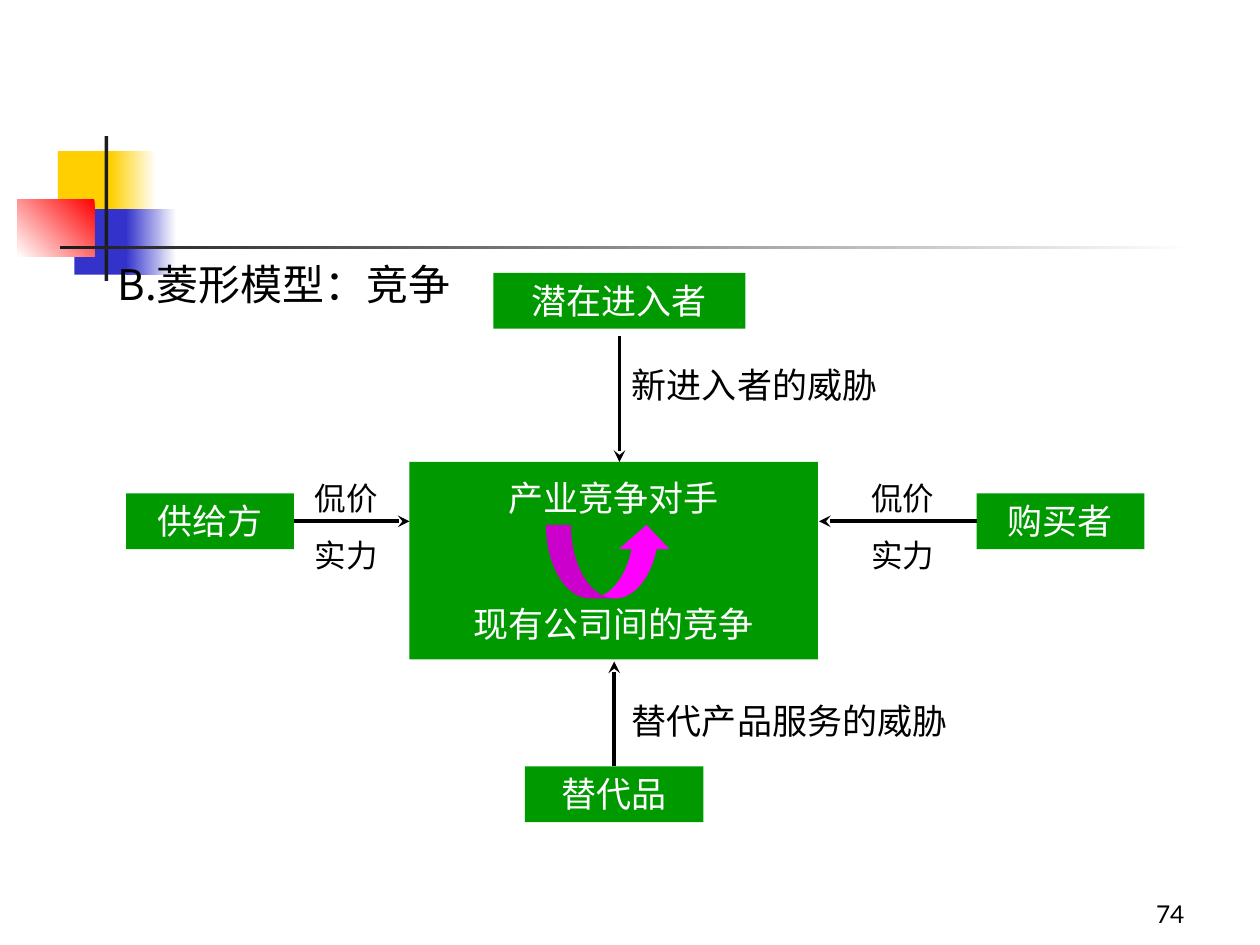
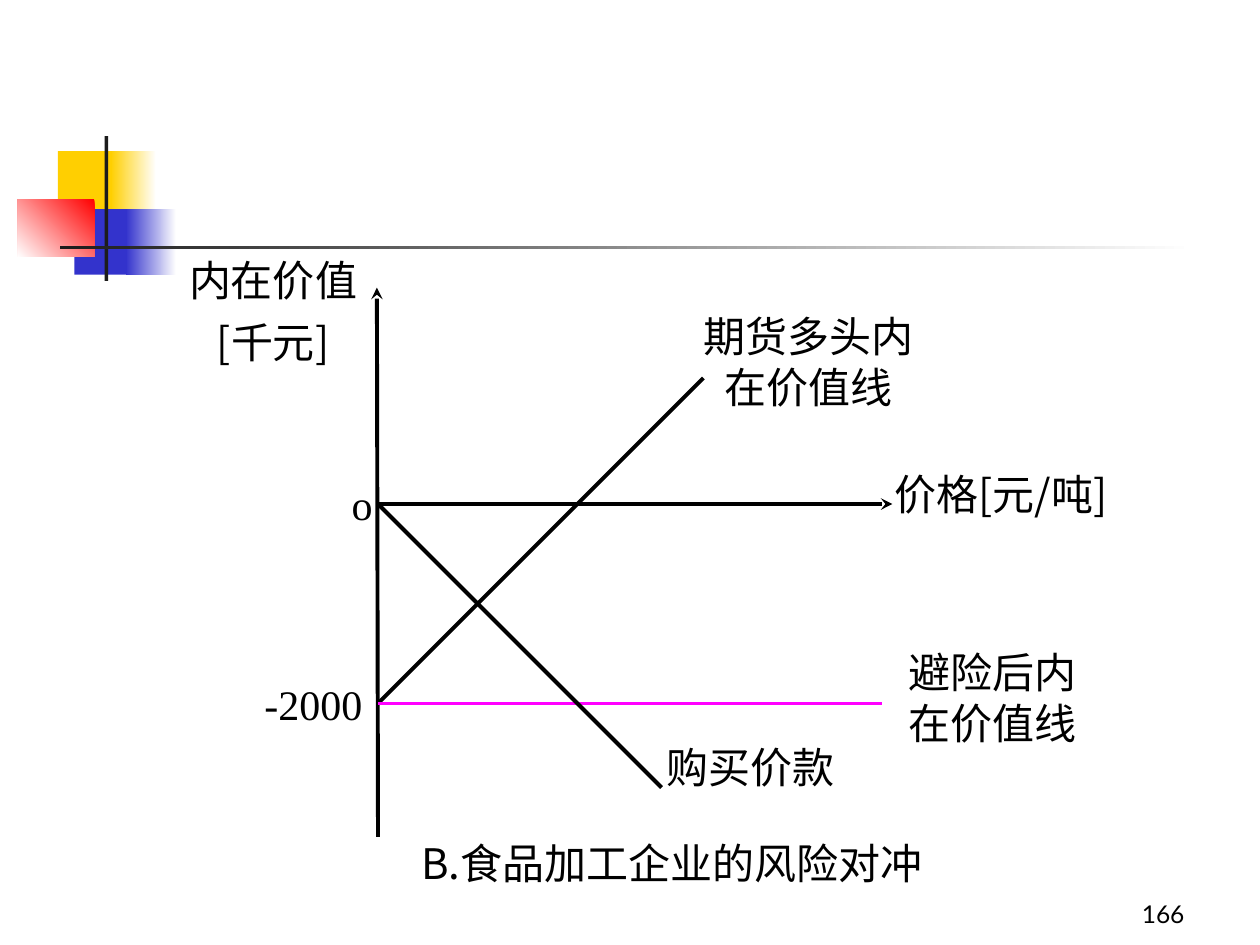
from dataclasses import dataclass

from lxml import etree
from pptx import Presentation
from pptx.dml.color import RGBColor
from pptx.enum.shapes import MSO_CONNECTOR, MSO_SHAPE
from pptx.enum.text import MSO_ANCHOR, MSO_AUTO_SIZE, PP_ALIGN
from pptx.oxml.ns import qn
from pptx.util import Inches, Pt

LEFT, CENTER, RIGHT = PP_ALIGN.LEFT, PP_ALIGN.CENTER, PP_ALIGN.RIGHT
TOP, MIDDLE, BOTTOM = MSO_ANCHOR.TOP, MSO_ANCHOR.MIDDLE, MSO_ANCHOR.BOTTOM
STRAIGHT = MSO_CONNECTOR.STRAIGHT
RECTANGLE, CURVED_ARROW = MSO_SHAPE.RECTANGLE, MSO_SHAPE.CURVED_UP_ARROW
NO_AUTOFIT = MSO_AUTO_SIZE.NONE

BLACK, WHITE, GREEN, MAGENTA = "000000", "FFFFFF", "009900", "FF00FF"
YELLOW, BLUE, RED, CHARCOAL = "FFCF01", "3333CC", "FF0000", "1C1C1C"
LATO, CJK, SERIF = "Lato", "Noto Sans CJK SC", "Times New Roman"

GRID = 12
LABEL_ROWS = 5.3
TITLE_ONLY = 5
TOP_SIDE, LEFT_SIDE, RIGHT_SIDE = 0, 1, 3


@dataclass
class Region:
    left: float
    top: float
    cells_per_inch: int = GRID

    def point(self, column, row):
        return (Inches((self.left + column) / self.cells_per_inch),
                Inches((self.top + row) / self.cells_per_inch))

    def area(self, column, row, columns, rows):
        return (*self.point(column, row),
                Inches(columns / self.cells_per_inch),
                Inches(rows / self.cells_per_inch))


EMBLEM = Region(14, 108, 100)
FORCES = Region(10, 24)
HEDGE = Region(16, 25)
FOOTER = Region(89, 83)


def color(value):
    return RGBColor.from_string(value)


def write(target, text, size, ink=BLACK, font=LATO, align=LEFT,
          anchor=TOP, gap=0, line_spacing=None):
    frame = target.text_frame
    frame.word_wrap = True
    frame.auto_size = NO_AUTOFIT
    frame.vertical_anchor = anchor
    frame.margin_left = frame.margin_right = Inches(0.1)
    frame.margin_top = frame.margin_bottom = Inches(0.05)
    frame.text = text
    for index, paragraph in enumerate(frame.paragraphs):
        paragraph.alignment = align
        paragraph.space_before = Pt(gap if index else 0)
        if line_spacing:
            paragraph.line_spacing = line_spacing
        for run in paragraph.runs:
            run.font.size = Pt(size)
            run.font.color.rgb = color(ink)
            run.font.name = font
            east_asian = etree.SubElement(run.font._element, qn("a:ea"))
            east_asian.set("typeface", CJK)


def add_label(slide, area, text, size, **style):
    write(slide.shapes.add_textbox(*area), text, size, **style)


def add_title(slide, area, text, align=LEFT):
    title = slide.shapes.title
    title.left, title.top, title.width, title.height = area
    write(title, text, 24, font=CJK, align=align)


def add_block(slide, area, fill, geometry=RECTANGLE):
    block = slide.shapes.add_shape(geometry, *area)
    block.shadow.inherit = False
    block.fill.solid()
    block.fill.fore_color.rgb = color(fill)
    block.line.fill.background()
    return block


def add_line(slide, start, end, ink=BLACK, arrow=False):
    line = slide.shapes.add_connector(STRAIGHT, *start, *end)
    line.line.color.rgb = color(ink)
    line.line.width = Pt(2.25)
    properties = line._element.spPr
    if arrow:
        head = etree.SubElement(properties.find(qn("a:ln")), qn("a:tailEnd"))
        head.set("type", "stealth")
    etree.SubElement(properties, qn("a:effectLst"))
    return line


def add_emblem(slide, layout, region):
    pieces = [
        ((32, 12, 48, 52), YELLOW, None),
        ((74, 12, 36, 52), (WHITE, YELLOW), 180),
        ((45, 58, 46, 52), BLUE, None),
        ((86, 58, 40, 52), (WHITE, BLUE), 180),
        ((0, 50, 61, 46), (RED, WHITE), 225),
        ((69, 0, 3, 115), CHARCOAL, None),
        ((34, 87, 900, 3), (WHITE, CHARCOAL), 180),
    ]
    for cells, paint, angle in pieces:
        piece = add_block(slide, region.area(*cells), WHITE)
        if angle is None:
            piece.fill.fore_color.rgb = color(paint)
        else:
            piece.fill.gradient()
            piece.fill.gradient_angle = angle
            for stop, shade in zip(piece.fill.gradient_stops, paint):
                stop.color.rgb = color(shade)
        layout.shapes.element.append(piece._element)


def add_page_number(slide, region, number):
    add_label(slide, region.area(0, 0, 25, 6), number, 14,
              align=RIGHT, anchor=BOTTOM)


def add_rivals(slide, region):
    rivals = add_block(slide, region.area(29, 20, 38.9, 18.8), GREEN)
    write(rivals, "产业竞争对手\n现有公司间的竞争", 20, ink=WHITE,
          align=CENTER, anchor=MIDDLE, gap=48)
    rivalry = add_block(slide, region.area(42, 26, 12, 7), MAGENTA,
                        CURVED_ARROW)
    for index, share in enumerate((0.34, 0.69, 0.33)):
        rivalry.adjustments[index] = share


def add_forces(slide, region):
    add_title(slide, region.area(0, 0, 37, 6), "B.菱形模型：竞争")
    add_rivals(slide, region)

    parties = {}
    for party, column, row, columns in [
        ("潜在进入者", 37, 2, 24),
        ("供给方", 2, 23, 16),
        ("替代品", 40, 49, 17),
        ("购买者", 83, 23, 16),
    ]:
        block = add_block(
            slide, region.area(column, row, columns, LABEL_ROWS), GREEN)
        write(block, party, 20, ink=WHITE, align=CENTER)
        parties[party] = block

    add_line(slide, region.point(49, 8), region.point(49, 20), arrow=True)
    middle_row = 23 + LABEL_ROWS / 2
    for party, side, start, end in [
        ("供给方", RIGHT_SIDE, (18, middle_row), (29, middle_row)),
        ("购买者", LEFT_SIDE, (83, middle_row), (68, middle_row)),
        ("替代品", TOP_SIDE, (48.5, 49), (48.5, 39)),
    ]:
        pressure = add_line(slide, region.point(*start), region.point(*end),
                            arrow=True)
        pressure.begin_connect(parties[party], side)

    for threat, row, columns in [("新进入者的威胁", 10, 26),
                                 ("替代产品服务的威胁", 42, 33)]:
        add_label(slide, region.area(49, row, columns, LABEL_ROWS),
                  threat, 20)
    for column in (17, 70):
        add_label(slide, region.area(column, 21, 12, 10.3), "侃价\n实力", 18,
                  align=CENTER, gap=11.2)


def add_hedge(slide, region):
    for start, end, ink, arrow in [
        ((20, 23), (69, 23), BLACK, True),
        ((20, 54.7), (19.9, 2.4), BLACK, True),
        ((20, 42), (51, 11), BLACK, False),
        ((20, 42), (68, 42), MAGENTA, False),
        ((20, 23), (47, 50), BLACK, False),
    ]:
        add_line(slide, region.point(*start), region.point(*end), ink, arrow)

    add_label(slide, region.area(0, 0, 20, 10.4), "内在价值\n[千元]", 24,
              font=CJK, align=CENTER, gap=15, line_spacing=0.7)
    for cells, text, font, align in [
        ((68, 19, 25, 10.8), "价格[元/吨]", CJK, LEFT),
        ((49, 4, 24, 10.8), "期货多头内在价值线", LATO, CENTER),
        ((69, 36, 19, 10.8), "避险后内在价值线", LATO, CENTER),
        ((46, 45, 19, 6), "购买价款", LATO, CENTER),
        ((16, 20, 5, 6), "o", SERIF, CENTER),
        ((8, 39, 12, 6), "-2000", SERIF, LEFT),
    ]:
        add_label(slide, region.area(*cells), text, 24,
                  font=font, align=align)
    add_title(slide, region.area(22, 54.2, 52, 6),
              "B.食品加工企业的风险对冲", CENTER)


def main():
    deck = Presentation()
    deck.slide_width, deck.slide_height = Inches(10), Inches(7.5)
    layout = deck.slide_layouts[TITLE_ONLY]
    pages = [(add_forces, FORCES, "74"), (add_hedge, HEDGE, "166")]
    for index, (add_content, region, number) in enumerate(pages):
        slide = deck.slides.add_slide(layout)
        if index == 0:
            add_emblem(slide, layout, EMBLEM)
        add_content(slide, region)
        add_page_number(slide, FOOTER, number)
    deck.save("out.pptx")


if __name__ == "__main__":
    main()
